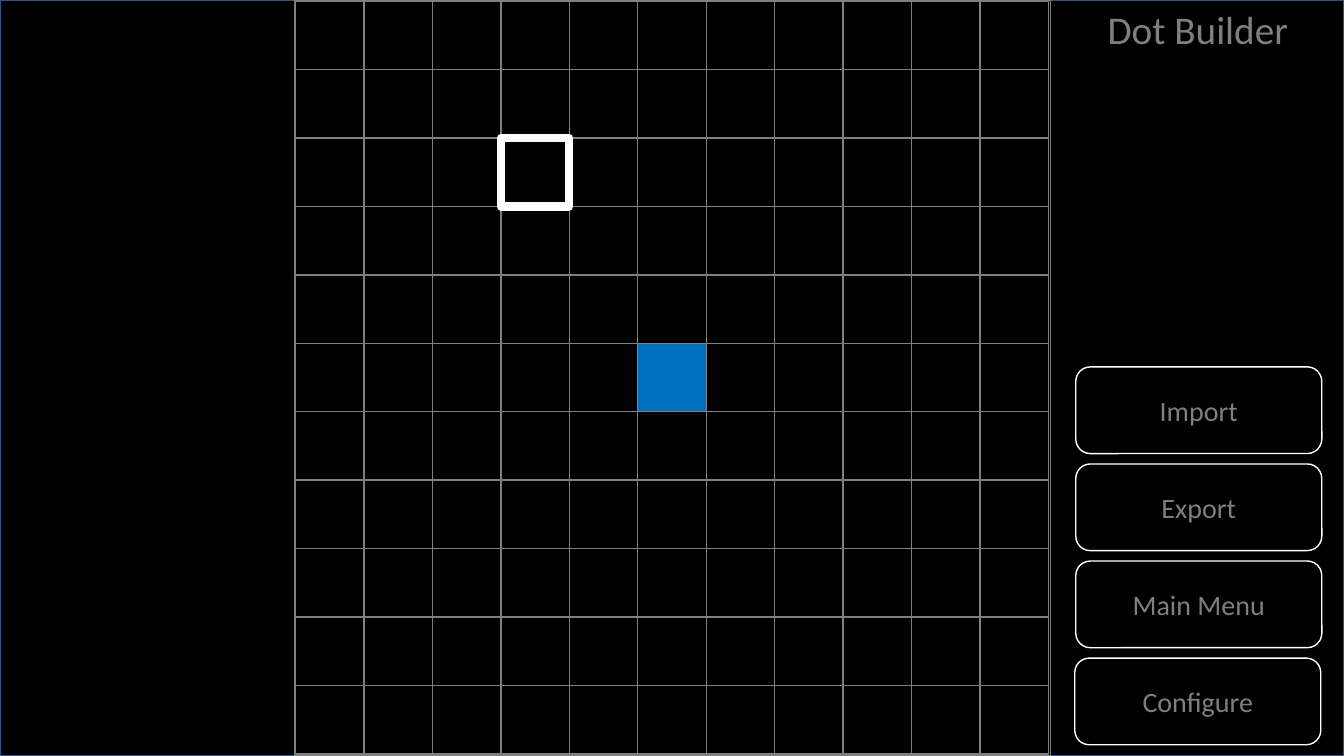
from pptx import Presentation
from pptx.dml.color import RGBColor
from pptx.enum.shapes import MSO_SHAPE as Shape
from pptx.enum.text import MSO_ANCHOR as Anchor, MSO_AUTO_SIZE as AutoSize, PP_ALIGN as Align
from pptx.util import Inches, Pt

BLACK = RGBColor(0x00, 0x00, 0x00)
WHITE = RGBColor(0xFF, 0xFF, 0xFF)
GRAY = RGBColor(0x7F, 0x7F, 0x7F)
BLUE = RGBColor(0x00, 0x70, 0xC0)
NAVY = RGBColor(0x32, 0x54, 0x91)

GRID_COUNT = 11
GRID_LEFT, GRID_TOP = 2.93, 0.01
CELL = 7.47 / GRID_COUNT
FILLED_CELL = (5, 5)
SELECTED_CELL = (2, 3)

deck = Presentation()
deck.slide_width = Inches(13.33)
deck.slide_height = Inches(7.5)
page = deck.slides.add_slide(deck.slide_layouts[5])


def add_box(kind, left, top, width, height, line, fill=None, weight=1):
    box = page.shapes.add_shape(kind, Inches(left), Inches(top), Inches(width), Inches(height))
    box.shadow.inherit = False
    if fill is None:
        box.fill.background()
    else:
        box.fill.solid()
        box.fill.fore_color.rgb = fill
    box.line.color.rgb = line
    box.line.width = Pt(weight)
    return box


def write_text(box, text, size, anchor):
    frame = box.text_frame
    frame.text = text
    frame.word_wrap = True
    frame.vertical_anchor = anchor
    para = frame.paragraphs[0]
    para.alignment = Align.CENTER
    span = para.runs[0]
    span.font.name = "Calibri"
    span.font.size = Pt(size)
    span.font.color.rgb = GRAY


backdrop = add_box(Shape.RECTANGLE, 0, 0, 13.33, 7.5, NAVY, BLACK)
board = add_box(Shape.RECTANGLE, 2.92, 0, 7.5, 7.5, GRAY)

title = page.shapes.title
title.left, title.top = Inches(10.42), Inches(0)
title.width, title.height = Inches(2.92), Inches(0.57)
write_text(title, "Dot Builder", 28, Anchor.TOP)
title.text_frame.auto_size = AutoSize.SHAPE_TO_FIT_TEXT
board.element.addnext(title.element)

for row in range(GRID_COUNT):
    for column in range(GRID_COUNT):
        if (row, column) != SELECTED_CELL:
            fill = BLUE if (row, column) == FILLED_CELL else None
            add_box(Shape.RECTANGLE, GRID_LEFT + column * CELL, GRID_TOP + row * CELL,
                    CELL, CELL, GRAY, fill)

for index, label in enumerate(["Import", "Export", "Main Menu", "Configure"]):
    left = 10.66 if label == "Configure" else 10.67
    button = add_box(Shape.ROUNDED_RECTANGLE, left, 3.64 + index * 0.963, 2.44, 0.86, WHITE, BLACK)
    write_text(button, label, 20, Anchor.MIDDLE)

selected_row, selected_column = SELECTED_CELL
add_box(Shape.RECTANGLE, GRID_LEFT + selected_column * CELL, GRID_TOP + selected_row * CELL,
        CELL, CELL, WHITE, weight=6)

deck.save("out.pptx")
